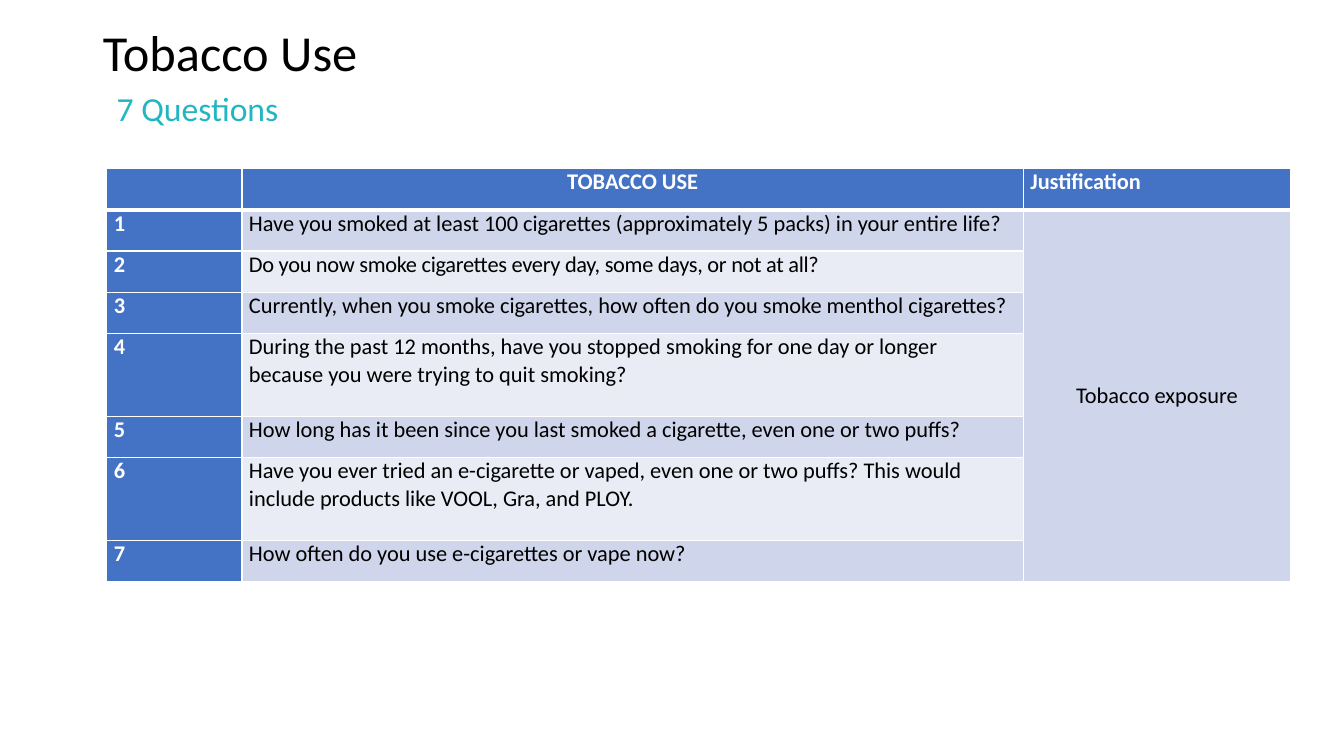
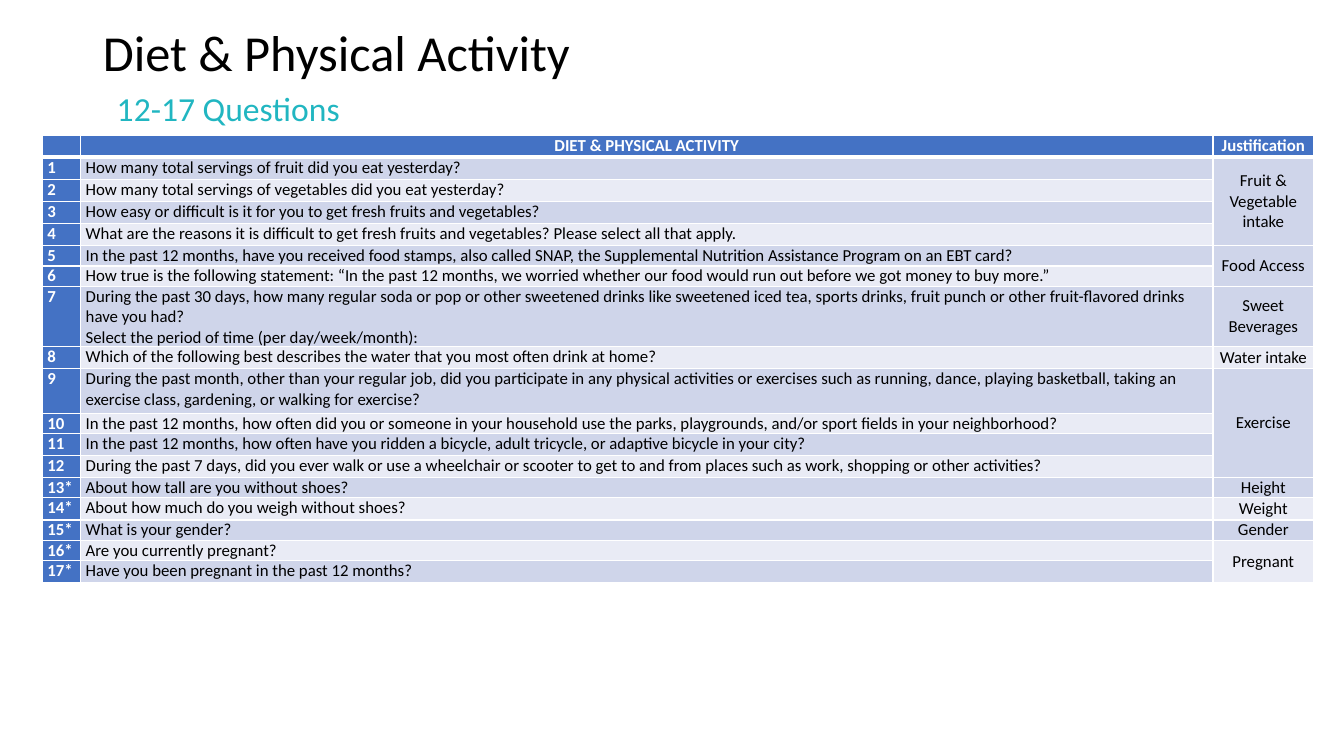
"""Build two survey slides, each with a title and a table of questions."""
from lxml import etree
from pptx import Presentation
from pptx.dml.color import RGBColor
from pptx.enum.text import MSO_ANCHOR as Anchor, MSO_AUTO_SIZE as Auto, PP_ALIGN as Align
from pptx.oxml.ns import qn
from pptx.util import Inches, Pt

BLACK = RGBColor(0x00, 0x00, 0x00)
WHITE = RGBColor(0xFF, 0xFF, 0xFF)
TEAL = RGBColor(0x21, 0xB6, 0xC1)
BLUE = RGBColor(0x44, 0x72, 0xC4)
BANDS = (RGBColor(0xE9, 0xEB, 0xF5), RGBColor(0xCF, 0xD5, 0xEA))
FONT = "Calibri"

SMOKE = [
    ("Tobacco exposure", [
        "Have you smoked at least 100 cigarettes (approximately 5 packs) in your entire life?",
        "Do you now smoke cigarettes every day, some days, or not at all?",
        "Currently, when you smoke cigarettes, how often do you smoke menthol cigarettes?",
        "During the past 12 months, have you stopped smoking for one day or longer "
        "because you were trying to quit smoking?",
        "How long has it been since you last smoked a cigarette, even one or two puffs?",
        "Have you ever tried an e-cigarette or vaped, even one or two puffs? "
        "This would include products like VOOL, Gra, and PLOY.",
        "How often do you use e-cigarettes or vape now?",
    ]),
]

DIET = [
    ("Fruit & Vegetable intake", [
        "How many total servings of fruit did you eat yesterday?",
        "How many total servings of vegetables did you eat yesterday?",
        "How easy or difficult is it for you to get fresh fruits and vegetables?",
        "What are the reasons it is difficult to get fresh fruits and vegetables? "
        "Please select all that apply.",
    ]),
    ("Food Access", [
        "In the past 12 months, have you received food stamps, also called SNAP, "
        "the Supplemental Nutrition Assistance Program on an EBT card?",
        "How true is the following statement: “In the past 12 months, we worried "
        "whether our food would run out before we got money to buy more.”",
    ]),
    ("Sweet Beverages", [
        "During the past 30 days, how many regular soda or pop or other sweetened drinks "
        "like sweetened iced tea, sports drinks, fruit punch or other fruit-flavored drinks "
        "have you had?\nSelect the period of time (per day/week/month):",
    ]),
    ("Water intake", [
        "Which of the following best describes the water that you most often drink at home?",
    ]),
    ("Exercise", [
        "During the past month, other than your regular job, did you participate in any "
        "physical activities or exercises such as running, dance, playing basketball, "
        "taking an exercise class, gardening, or walking for exercise?",
        "In the past 12 months, how often did you or someone in your household use the "
        "parks, playgrounds, and/or sport fields in your neighborhood?",
        "In the past 12 months, how often have you ridden a bicycle, adult tricycle, "
        "or adaptive bicycle in your city?",
        "During the past 7 days, did you ever walk or use a wheelchair or scooter to get "
        "to and from places such as work, shopping or other activities?",
    ]),
    ("Height", ["About how tall are you without shoes?"]),
    ("Weight", ["About how much do you weigh without shoes?"]),
    ("Gender", ["What is your gender?"]),
    ("Pregnant", [
        "Are you currently pregnant?",
        "Have you been pregnant in the past 12 months?",
    ]),
]


class Deck:
    """Hold the shared style and the current slide."""

    def __init__(self):
        self.show = Presentation()
        self.show.slide_width = Inches(13.33)
        self.show.slide_height = Inches(7.5)

    def start(self, title, wide, note, span):
        """Add a slide with its title and the teal line below it."""
        self.slide = self.show.slides.add_slide(self.show.slide_layouts[5])
        head = self.slide.shapes.title
        head.left, head.top = Inches(0.92), Inches(0.22)
        head.width, head.height = Inches(wide), Inches(0.65)
        self.line(head, title, 36, BLACK, Anchor.MIDDLE)
        box = self.slide.shapes.add_textbox(Inches(1.06), Inches(0.87), Inches(span), Inches(0.46))
        self.line(box, note, 24, TEAL, Anchor.TOP)

    def line(self, shape, text, size, color, anchor):
        """Fill a shape with one unwrapped line of text."""
        frame = shape.text_frame
        frame.text = text
        frame.word_wrap = False
        frame.auto_size = Auto.SHAPE_TO_FIT_TEXT
        frame.vertical_anchor = anchor
        self.style(frame, size, color, False, Align.LEFT)
        frame.paragraphs[0].line_spacing = 0.9

    def style(self, frame, size, color, bold, align):
        """Format every run of a text frame."""
        for para in frame.paragraphs:
            para.alignment = align
            for run in para.runs:
                font = run.font
                font.name, font.size, font.bold = FONT, Pt(size), bold
                font.color.rgb = color
            if not para.runs:
                etree.SubElement(para._p, qn("a:endParaRPr"), sz=str(size * 100))

    def edge(self, cell, row):
        """Draw white borders, thick between the header and the body."""
        props = cell._tc.get_or_add_tcPr()
        thick = {(0, "B"), (1, "T")}
        for side in "LRTB":
            width = Pt(3 if (row, side) in thick else 1)
            line = etree.SubElement(props, qn(f"a:ln{side}"), w=str(width))
            fill = etree.SubElement(line, qn("a:solidFill"))
            etree.SubElement(fill, qn("a:srgbClr"), val=str(WHITE))

    def cell(self, row, col, text, head=False, align=Align.LEFT, anchor=Anchor.TOP):
        """Write and format one table cell."""
        cell = self.grid.cell(row, col)
        self.edge(cell, row)
        cell.fill.solid()
        cell.fill.fore_color.rgb = BLUE if head else BANDS[row % 2]
        cell.margin_left = cell.margin_right = Inches(self.pad)
        cell.margin_top = cell.margin_bottom = 0
        cell.vertical_anchor = anchor
        cell.text_frame.text = text
        self.style(cell.text_frame, self.size, WHITE if head else BLACK, head, align)

    def table(self, spot, cols, rows, size, pad, name, groups, align, star=99):
        """Add the table of numbered questions, grouped by reason."""
        self.size, self.pad = size, pad
        area = [Inches(n) for n in (*spot, sum(cols), sum(rows))]
        self.grid = self.slide.shapes.add_table(len(rows), len(cols), *area).table
        self.grid.horz_banding = False
        for part, wide in zip(self.grid.columns, cols):
            part.width = Inches(wide)
        for part, high in zip(self.grid.rows, rows):
            part.height = Inches(high)
        self.cell(0, 0, "", True)
        self.cell(0, 1, name, True, Align.CENTER)
        self.cell(0, 2, "Justification", True, align)
        row = 1
        for reason, asks in groups:
            first = row
            for ask in asks:
                mark = "*" if row >= star else ""
                self.cell(row, 0, f"{row}{mark}", True)
                self.cell(row, 1, ask)
                why = reason if row == first else ""
                self.cell(row, 2, why, align=Align.CENTER, anchor=Anchor.MIDDLE)
                row += 1
            if len(asks) > 1:
                self.grid.cell(first, 2).merge(self.grid.cell(row - 1, 2))

    def tight(self, row, col, gap):
        """Set the letter spacing of a cell in points."""
        for para in self.grid.cell(row, col).text_frame.paragraphs:
            for run in para.runs:
                run._r.get_or_add_rPr().set("spc", str(round(gap * 100)))


def main():
    """Build both slides and save them."""
    deck = Deck()
    deck.start("Tobacco Use", 3.13, "7 Questions", 2)
    rows = [0.41] * 4 + [0.82, 0.41] * 2
    deck.table((1.06, 1.67), (1.34, 7.75, 2.65), rows, 16, 0.07,
               "TOBACCO USE", SMOKE, Align.LEFT)
    deck.tight(2, 1, -0.2)

    deck.start("Diet & Physical Activity", 5.31, "12-17 Questions", 2.67)
    rows = [0.22] * 5 + [0.17, 0.14, 0.59, 0.22, 0.44, 0.15, 0.22, 0.22,
                         0.2, 0.22, 0.2, 0.2, 0.22]
    deck.table((0.42, 1.34), (0.38, 11.23, 1), rows, 12, 0.05,
               "DIET & PHYSICAL ACTIVITY", DIET, Align.CENTER, 13)
    deck.show.save("out.pptx")


if __name__ == "__main__":
    main()
